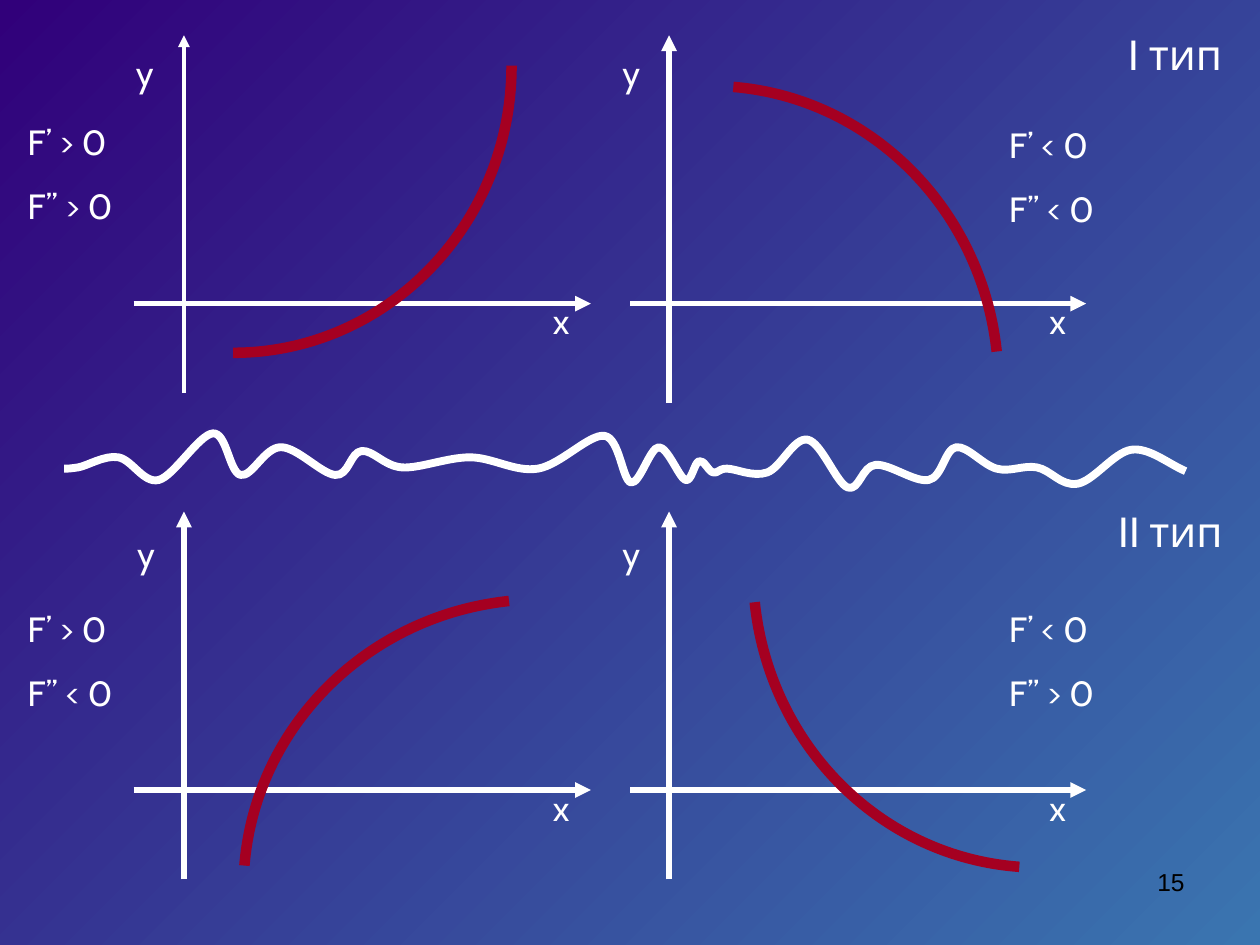
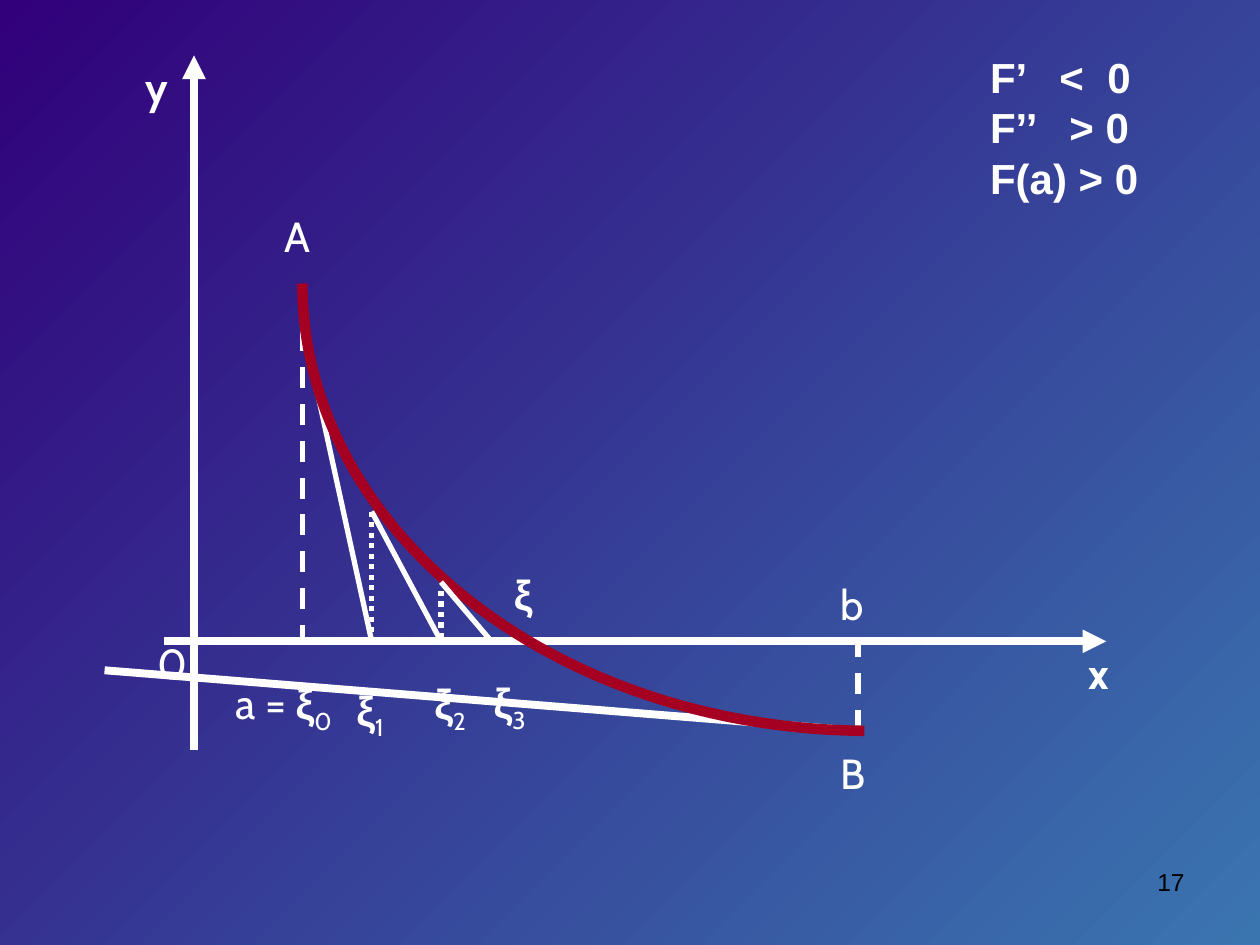
from dataclasses import dataclass
from itertools import chain

from lxml.etree import SubElement
from pptx import Presentation
from pptx.dml.color import RGBColor
from pptx.enum.dml import MSO_LINE
from pptx.enum.shapes import MSO_CONNECTOR
from pptx.enum.text import PP_ALIGN
from pptx.oxml.ns import qn
from pptx.util import Emu, Pt

SCALE = 9144


@dataclass(frozen=True)
class Theme:
    """Colours, fonts and type sizes of the deck."""
    dark: RGBColor = RGBColor(0x31, 0x00, 0x7A)
    light: RGBColor = RGBColor(0x3A, 0x75, 0xB0)
    ink: RGBColor = RGBColor(0xFF, 0xFF, 0xFF)
    curve: RGBColor = RGBColor(0xA5, 0x00, 0x21)
    number: RGBColor = RGBColor(0x00, 0x00, 0x00)
    body: str = "Cabin"
    plain: str = "Arial"
    large: int = 24
    medium: int = 20
    small: int = 14


THEME = Theme()

PANELS = [
    ((106, 28, 363, 284), (40, 213), (-8, 8), (-94, 63), ["F’ > 0", "F’’ > 0"],
     [(79, 252), (201, 252), (300, 150), (300, 24)]),
    ((500, 28, 362, 292), (31, 213), (-16, 8), (291, 65), ["F’ < 0", "F’’ < 0"],
     [(82, 41), (191, 50), (279, 138), (291, 251)]),
    ((106, 406, 363, 292), (40, 221), (-7, 12), (-94, 71), ["F’ > 0", "F’’ < 0"],
     [(88, 281), (97, 171), (185, 83), (298, 71)]),
    ((500, 406, 362, 292), (31, 221), (-16, 12), (291, 71), ["F’ < 0", "F’’ > 0"],
     [(309, 282), (199, 274), (111, 186), (99, 72)]),
]

WAVE_KNOTS = [
    (0, 28), (11, 27), (43, 19), (75, 37), (118, 0), (140, 33), (172, 11), (215, 33),
    (236, 14), (268, 27), (322, 19), (376, 28), (429, 2), (450, 39), (472, 11),
    (493, 37), (504, 22), (515, 31), (526, 28), (558, 31), (590, 5), (622, 43),
    (644, 25), (686, 37), (708, 11), (740, 28), (772, 27), (804, 40), (847, 13), (890, 30),
]


def px(length):
    """Turn px into EMU."""
    return Emu(round(length * SCALE))


def shift(box, point):
    """Return a point of the box in page coordinates."""
    return box[0] + point[0], box[1] + point[1]


def style_line(line, color, width):
    """Set the colour and the width of a line."""
    line.color.rgb = color
    line.width = Pt(width)


def add_line(page, box, start, end, width=3, dash=None, arrow=False):
    """Draw a straight line between two points of the box."""
    ends = [px(value) for value in shift(box, start) + shift(box, end)]
    connector = page.shapes.add_connector(MSO_CONNECTOR.STRAIGHT, *ends)
    style_line(connector.line, THEME.ink, width)
    if dash:
        connector.line.dash_style = dash
    if arrow:
        SubElement(connector.line._get_or_add_ln(), qn("a:tailEnd"), type="triangle")
    SubElement(connector._element.spPr, qn("a:effectLst"))


def add_curve(page, box, points, color=THEME.curve, width=6):
    """Draw Bezier segments: a start point, then three points for each segment."""
    start, *rest = [shift(box, point) for point in points]
    builder = page.shapes.build_freeform(*start, scale=SCALE)
    builder.add_line_segments(rest, close=False)
    shape = builder.convert_to_shape()
    shape.shadow.inherit = False
    shape.fill.background()
    style_line(shape.line, color, width)
    steps = list(shape._element.iter(qn("a:lnTo")))
    for first in range(0, len(steps), 3):
        segment = SubElement(steps[first].getparent(), qn("a:cubicBezTo"))
        for step in steps[first:first + 3]:
            segment.append(step[0])
            step.getparent().remove(step)


def add_text(page, box, place, width, lines, size=THEME.large, font=THEME.body,
             bold=False, color=THEME.ink, gap=0, align=None):
    """Write one paragraph a line in a text box and return its frame."""
    left, top = shift(box, place)
    frame = page.shapes.add_textbox(px(left), px(top), px(width), px(50)).text_frame
    frame.word_wrap = True
    frame.text = "\n".join(lines)
    for para in frame.paragraphs:
        para.space_before = Pt(gap)
        para.alignment = align
        for span in para.runs:
            style_span(span, size, font, bold, color)
    return frame


def style_span(span, size=THEME.large, font=THEME.body, bold=False, color=THEME.ink):
    """Set the font of a run."""
    span.font.size = Pt(size)
    span.font.name = font
    span.font.bold = bold
    span.font.color.rgb = color


def add_root(page, box, place, index="", prefix="", width=54):
    """Write the root symbol with an optional prefix and subscript."""
    frame = add_text(page, box, place, width, [prefix])
    for text, font, bold in ((("ξ", THEME.plain, True), (index, THEME.body, False))):
        if text:
            span = frame.paragraphs[0].add_run()
            span.text = text
            style_span(span, font=font, bold=bold)
    if index:
        span._r.get_or_add_rPr().set("baseline", "-25000")


def add_axes(page, box, origin, width=3, upright_width=3):
    """Draw both axes of the box, crossing at the origin."""
    add_line(page, box, (0, origin[1]), (box[2], origin[1]), width, arrow=True)
    add_line(page, box, (origin[0], box[3]), (origin[0], 0), upright_width, arrow=True)


def add_panel(page, box, origin, y_place, signs_place, signs, curve, upright_width):
    """Draw one small graph with its sign conditions."""
    add_axes(page, box, origin, upright_width=upright_width)
    add_curve(page, box, curve)
    add_text(page, box, y_place, 32, ["y"], THEME.medium)
    add_text(page, box, (323, origin[1] - 8), 32, ["x"], THEME.medium)
    add_text(page, box, signs_place, 110, signs, THEME.medium, gap=12.5)


def add_wave(page, box):
    """Draw a smooth wavy divider through the knots."""
    (x0, y0), (x1, y1) = WAVE_KNOTS[:2]
    (x2, y2), (x3, y3) = WAVE_KNOTS[-2:]
    knots = [(2 * x0 - x1, 2 * y0 - y1), *WAVE_KNOTS, (2 * x3 - x2, 2 * y3 - y2)]
    segments = (
        [(b[0] + (c[0] - a[0]) / 6, b[1] + (c[1] - a[1]) / 6),
         (c[0] - (d[0] - b[0]) / 6, c[1] - (d[1] - b[1]) / 6), c]
        for a, b, c, d in zip(knots, knots[1:], knots[2:], knots[3:]))
    add_curve(page, box, [WAVE_KNOTS[0], *chain.from_iterable(segments)], THEME.ink, 4.5)


def add_tangents(page, box, axis):
    """Draw the tangents and the dropped lines that lie behind the curve."""
    add_line(page, box, (551, 536), (-47, 488), 4.5)
    add_line(page, box, (165, 362), (220, axis))
    add_line(page, box, (110, 213), (165, axis))
    for x, y, dash in ((551, 536, MSO_LINE.DASH), (220, 425, MSO_LINE.ROUND_DOT),
                       (165, 362, MSO_LINE.ROUND_DOT), (110, 189, MSO_LINE.DASH)):
        add_line(page, box, (x, y), (x, axis), dash=dash)


def add_conditions(page, box, place):
    """Write the sign conditions with tab stops for the gaps."""
    frame = add_text(page, box, place, 150, ["F’\t<\t0", "F’’\t> 0", "F(a) > 0"],
                     font=THEME.plain, bold=True)
    for para, stops in zip(frame.paragraphs, ((55, 93), (63,))):
        tabs = SubElement(para._p.get_or_add_pPr(), qn("a:tabLst"))
        for stop in stops:
            SubElement(tabs, qn("a:tab"), pos=str(px(stop)), algn="l")


def add_graph(page, box):
    """Draw the large graph of the tangent method."""
    origin = (24, 465)
    add_tangents(page, box, origin[1])
    add_axes(page, box, origin, 4.5, 4.5)
    add_curve(page, box, [(110, 181), (110, 376), (309, 534), (556, 536)])
    add_line(page, box, (220, 418), (260, origin[1]))
    for name, place, bold in (("y", (-24, 0), True), ("x", (724, 465), True),
                              ("0", (-15, 457), False), ("b", (527, 410), False),
                              ("A", (86, 118), False), ("B", (527, 544), False)):
        add_text(page, box, place, 47, [name], bold=bold)
    add_root(page, box, (47, 489), "0", "a = ", 109)
    add_root(page, box, (143, 494), "1")
    add_root(page, box, (205, 489), "2")
    add_root(page, box, (252, 488), "3")
    add_root(page, box, (268, 402))
    add_conditions(page, box, (646, -8))


def add_page(deck, number):
    """Add a blank slide with its number."""
    page = deck.slides.add_slide(deck.slide_layouts[6])
    add_text(page, (717, 683), (0, 0), 233, [number], THEME.small, THEME.plain,
             color=THEME.number, align=PP_ALIGN.RIGHT)
    return page


def build_types(deck):
    """Build the slide with the four kinds of curve."""
    page = add_page(deck, "15")
    for index, panel in enumerate(PANELS):
        add_panel(page, *panel, upright_width=3 if index else 2.25)
    add_wave(page, (51, 344))
    add_text(page, (886, 18), (0, 0), 95, ["I тип"])
    add_text(page, (878, 396), (0, 0), 110, ["II тип"])


def build_method(deck):
    """Build the slide with the tangent method."""
    add_graph(add_page(deck, "17"), (130, 44, 748, 551))


def set_background(deck):
    """Give the slide master the diagonal gradient."""
    fill = deck.slide_master.background.fill
    fill.gradient()
    fill.gradient_angle = 315
    for stop, color, position in zip(fill.gradient_stops, (THEME.dark, THEME.light), (0, 1)):
        stop.color.rgb = color
        stop.position = position


def main():
    """Build and save the deck."""
    deck = Presentation()
    deck.slide_width, deck.slide_height = px(1000), px(750)
    set_background(deck)
    build_types(deck)
    build_method(deck)
    deck.save("out.pptx")


if __name__ == "__main__":
    main()
